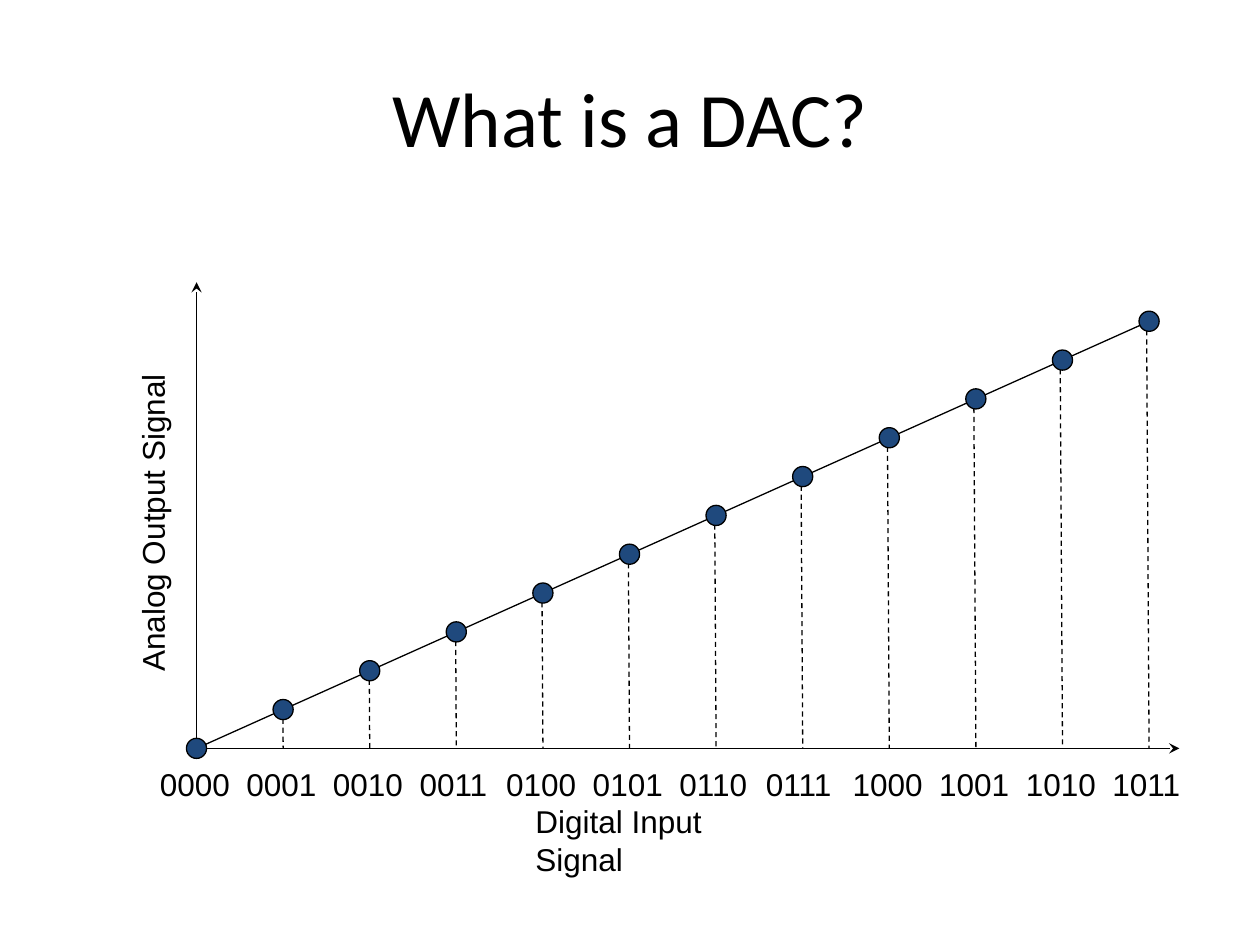
from pptx import Presentation
from pptx.dml.color import RGBColor as RGB
from pptx.enum.dml import MSO_LINE as Dash
from pptx.enum.shapes import MSO_CONNECTOR as Conn, MSO_SHAPE as Shape
from pptx.enum.text import MSO_ANCHOR as Anchor, MSO_AUTO_SIZE as Fit, PP_ALIGN as Align
from pptx.oxml.ns import qn
from pptx.util import Inches as In, Pt
from lxml.etree import SubElement as Sub

BLACK = RGB(0, 0, 0)
NAVY = RGB(0x1F, 0x49, 0x7D)
LEFT, BASE = 1.56, 5.94
LAST = 11
COL, ROW = 7.56 / LAST, 3.39 / LAST
DOT = 0.16
LEAN = 0.02 / LAST
TITLE = {"size": Pt(44), "name": "Calibri"}
LABEL = {"size": Pt(18), "name": "Arial"}

deck = Presentation()
deck.slide_width, deck.slide_height = In(10), In(7.5)
slide = deck.slides.add_slide(deck.slide_layouts[5])
shapes = slide.shapes


def write(box, text, style):
    para = box.text_frame.paragraphs[0]
    para.text = text
    font = para.runs[0].font
    for key, value in style.items():
        setattr(font, key, value)
    font.color.rgb = BLACK
    return para


def draw(x1, y1, x2, y2, dash=None, head=None):
    line = shapes.add_connector(Conn.STRAIGHT, In(x1), In(y1), In(x2), In(y2))
    line.line.color.rgb = BLACK
    line.line.width = Pt(0.75)
    if dash:
        line.line.dash_style = dash
    if head:
        Sub(line.line._get_or_add_ln(), qn("a:tailEnd"), type=head)
    Sub(line._element.spPr, qn("a:effectLst"))


title = shapes.title
place = {"left": 0.5, "top": 0.3, "width": 9, "height": 1.25}
for key, value in place.items():
    setattr(title, key, In(value))
title.text_frame.vertical_anchor = Anchor.MIDDLE
write(title, "What is a DAC?", TITLE).alignment = Align.CENTER

points = [(LEFT + n * COL, BASE - n * ROW) for n in range(LAST + 1)]
texts = [(f"{n:04b}", x - 0.39, 6.02, 0.76, 0) for n, (x, y) in enumerate(points)]
texts += [
    ("Digital Input Signal", 4.15, 6.32, 2.28, 0),
    ("Analog Output Signal", -0.07, 3.95, 2.56, 270),
]
for text, x, y, wide, turn in texts:
    box = shapes.add_textbox(In(x), In(y), In(wide), In(0.4))
    box.rotation = turn
    box.text_frame.word_wrap = False
    box.text_frame.auto_size = Fit.SHAPE_TO_FIT_TEXT
    write(box, text, LABEL)

for n, (x, y) in enumerate(points):
    draw(x - n * LEAN, min(y, BASE - ROW), x, BASE, dash=Dash.DASH)

draw(LEFT, BASE, LEFT, 2.24, head="stealth")
draw(LEFT, BASE, 9.36, BASE, head="stealth")
draw(*points[0], *points[-1])

for x, y in points:
    dot = shapes.add_shape(Shape.OVAL, In(x - DOT / 2), In(y - DOT / 2), In(DOT), In(DOT))
    dot.shadow.inherit = False
    dot.fill.solid()
    dot.fill.fore_color.rgb = NAVY
    dot.line.color.rgb = BLACK
    dot.line.width = Pt(0.75)

deck.save("out.pptx")
